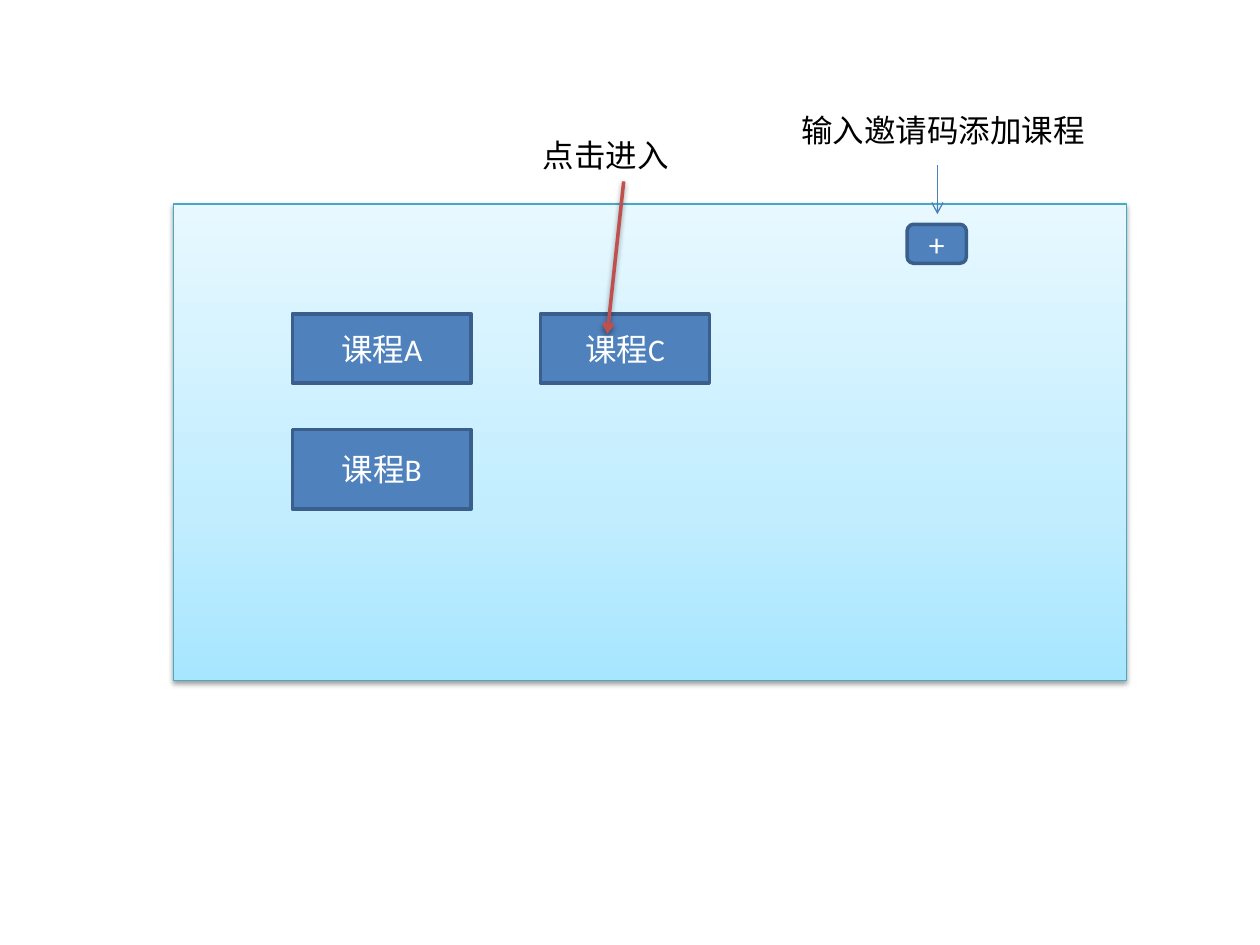
import copy
from dataclasses import dataclass

import pptx
import pptx.dml.color
import pptx.enum.shapes
import pptx.enum.text
import pptx.oxml
import pptx.oxml.ns
import pptx.util

# The slide is a grid of 100 columns by 75 rows
SLIDE_WIDTH = pptx.util.Inches(10)
SLIDE_HEIGHT = pptx.util.Inches(7.5)
CELL = SLIDE_WIDTH // 100

FONT = "Calibri"
BLUE, DARK_BLUE, ARROW_BLUE, RED = "4F81BD", "3A5F8C", "4B7EBC", "C0504D"
WHITE, BLACK, PANEL_EDGE = "FFFFFF", "000000", "46AAC5"
PANEL_STOPS = [(0, "A7E6FF"), (0.35, "C1EDFF"), (1, "E7F8FF")]
RECTANGLE = pptx.enum.shapes.MSO_SHAPE.RECTANGLE
ROUNDED = pptx.enum.shapes.MSO_SHAPE.ROUNDED_RECTANGLE


@dataclass
class Box:
    column: float
    row: float
    columns: float
    rows: float
    text: str = ""
    kind: int = RECTANGLE


@dataclass
class Arrow:
    start: tuple[float, float]
    end: tuple[float, float]
    color: str
    weight: float
    shadow: bool = False


def grid(*counts: float) -> list[int]:
    return [round(count * CELL) for count in counts]


def rgb(color: str) -> pptx.dml.color.RGBColor:
    return pptx.dml.color.RGBColor.from_string(color)


def set_line(line, color: str, weight: float) -> None:
    line.color.rgb = rgb(color)
    line.width = pptx.util.Pt(weight)


def add_xml(parent, xml: str) -> None:
    tag, rest = xml.split(" ", 1) if " " in xml else (xml[:-2], "/>")
    parent.append(pptx.oxml.parse_xml(f"{tag} {pptx.oxml.ns.nsdecls('a')} {rest}"))


def add_shadow(effects) -> None:
    blur, distance = pptx.util.Pt(3.1), pptx.util.Pt(1.6)
    add_xml(effects, f'<a:outerShdw blurRad="{blur}" dist="{distance}" dir="5400000" rotWithShape="0">'
                     '<a:srgbClr val="000000"><a:alpha val="38000"/></a:srgbClr></a:outerShdw>')


def write(shape, text: str, color: str) -> None:
    shape.text_frame.text = text
    shape.text_frame.word_wrap = True
    font = shape.text_frame.paragraphs[0].runs[0].font
    font.name, font.size = FONT, pptx.util.Pt(18)
    font.color.rgb = rgb(color)


def add_box(slide, box: Box):
    shape = slide.shapes.add_shape(box.kind, *grid(box.column, box.row, box.columns, box.rows))
    shape.shadow.inherit = False
    return shape


def add_panel(slide, box: Box) -> None:
    shape = add_box(slide, box)
    shape.fill.gradient()
    shape.fill.gradient_angle = 90
    stop_list = shape._element.spPr.find(".//" + pptx.oxml.ns.qn("a:gsLst"))
    stop_list.append(copy.deepcopy(stop_list[-1]))
    for stop, (position, color) in zip(shape.fill.gradient_stops, PANEL_STOPS):
        stop.position = position
        stop.color.rgb = rgb(color)
    set_line(shape.line, PANEL_EDGE, 0.75)
    add_shadow(shape._element.spPr.find(pptx.oxml.ns.qn("a:effectLst")))


def add_button(slide, box: Box) -> None:
    shape = add_box(slide, box)
    shape.fill.solid()
    shape.fill.fore_color.rgb = rgb(BLUE)
    set_line(shape.line, DARK_BLUE, 2)
    write(shape, box.text, WHITE)
    shape.text_frame.vertical_anchor = pptx.enum.text.MSO_ANCHOR.MIDDLE
    shape.text_frame.paragraphs[0].alignment = pptx.enum.text.PP_ALIGN.CENTER


def add_note(slide, box: Box) -> None:
    shape = slide.shapes.add_textbox(*grid(box.column, box.row, box.columns, box.rows))
    write(shape, box.text, BLACK)
    shape.text_frame.auto_size = pptx.enum.text.MSO_AUTO_SIZE.SHAPE_TO_FIT_TEXT


def add_arrow(slide, arrow: Arrow) -> None:
    connector = slide.shapes.add_connector(
        pptx.enum.shapes.MSO_CONNECTOR.STRAIGHT, *grid(*arrow.start, *arrow.end))
    set_line(connector.line, arrow.color, arrow.weight)
    add_xml(connector.line._get_or_add_ln(), '<a:tailEnd type="arrow"/>')
    properties = connector._element.spPr
    add_xml(properties, "<a:effectLst/>")
    if arrow.shadow:
        add_shadow(properties[-1])


def main() -> None:
    presentation = pptx.Presentation()
    presentation.slide_width, presentation.slide_height = SLIDE_WIDTH, SLIDE_HEIGHT
    slide = presentation.slides.add_slide(presentation.slide_layouts[6])

    # Course window
    add_panel(slide, Box(13.8, 16.2, 75.6, 37.8))

    # Course buttons and the add button
    for button in (
        Box(23.2, 24.9, 14.2, 5.5, "课程A"),
        Box(23.2, 34.1, 14.2, 6.3, "课程B"),
        Box(42.9, 24.9, 13.4, 5.5, "课程C"),
        Box(72, 17.8, 4.7, 3.1, "+", ROUNDED),
    ):
        add_button(slide, button)

    # Explanations with their arrows
    add_note(slide, Box(62.6, 8.3, 26, 4, "输入邀请码添加课程"))
    add_arrow(slide, Arrow((74.4, 13.1), (74.4, 17), ARROW_BLUE, 0.75))
    add_arrow(slide, Arrow((49.5, 14.4), (48.2, 26.5), RED, 2, shadow=True))
    add_note(slide, Box(42.1, 10.3, 17.6, 4, "点击进入"))

    presentation.save("out.pptx")


if __name__ == "__main__":
    main()
